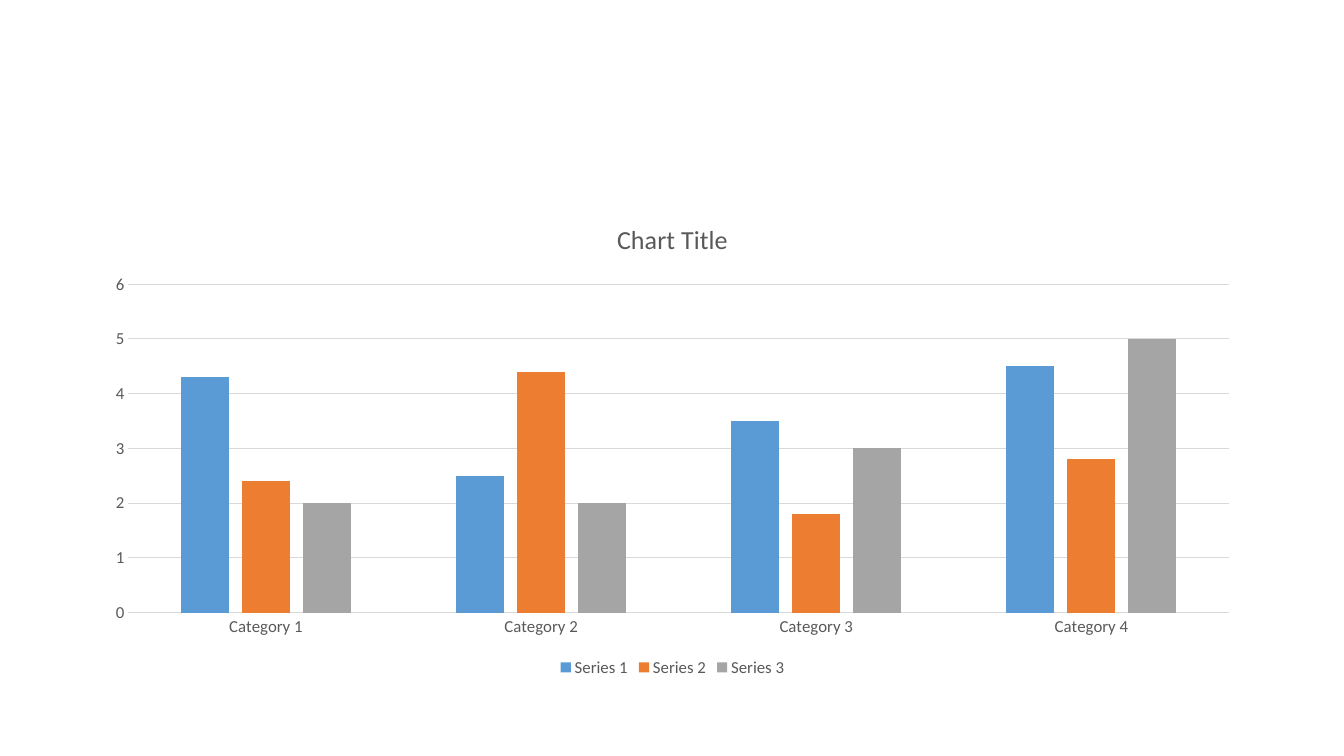
"""Build a slide with a clustered column chart of three series."""
from pptx import Presentation
from pptx import util as u
from pptx.chart.data import CategoryChartData
from pptx.dml.color import RGBColor
from pptx.enum import chart as c

BLUE = RGBColor(0x5B, 0x9B, 0xD5)
ORANGE = RGBColor(0xED, 0x7D, 0x31)
GRAY = RGBColor(0xA5, 0xA5, 0xA5)
TEXT_GRAY = RGBColor(0x59, 0x59, 0x59)
LINE_GRAY = RGBColor(0xD9, 0xD9, 0xD9)

CATEGORIES = [f"Category {number}" for number in range(1, 5)]
SERIES = [
    ("Series 1", (4.3, 2.5, 3.5, 4.5), BLUE),
    ("Series 2", (2.4, 4.4, 1.8, 2.8), ORANGE),
    ("Series 3", (2, 2, 3, 5), GRAY),
]


class SlideBuilder:
    def __init__(self, slide, font_name="Calibri"):
        self.slide = slide
        self.font_name = font_name

    def style_font(self, font, size):
        font.name = self.font_name
        font.size = u.Pt(size)
        font.bold = False
        font.color.rgb = TEXT_GRAY

    def style_line(self, line):
        line.color.rgb = LINE_GRAY
        line.width = u.Pt(0.75)

    def add_column_chart(self, left, top, width, height, title):
        data = CategoryChartData()
        data.categories = CATEGORIES
        for name, values, _ in SERIES:
            data.add_series(name, values)
        chart = self.slide.shapes.add_chart(
            c.XL_CHART_TYPE.COLUMN_CLUSTERED,
            u.Inches(left), u.Inches(top), u.Inches(width), u.Inches(height), data,
        ).chart
        self.style_font(chart.font, 12)
        self.add_chart_title(chart, title)
        self.format_axes(chart)
        self.add_legend(chart)

        plot = chart.plots[0]
        plot.vary_by_categories = False
        plot.gap_width = 219
        plot.overlap = -27
        for series, (_, _, color) in zip(plot.series, SERIES):
            series.format.fill.solid()
            series.format.fill.fore_color.rgb = color
            series.invert_if_negative = False

    def add_chart_title(self, chart, title):
        chart.has_title = True
        run = chart.chart_title.text_frame.paragraphs[0].add_run()
        run.text = title
        self.style_font(run.font, 18.6)
        chart.chart_title.include_in_layout = False

    def format_axes(self, chart):
        for axis in (chart.category_axis, chart.value_axis):
            axis.major_tick_mark = c.XL_TICK_MARK.NONE
            axis.minor_tick_mark = c.XL_TICK_MARK.NONE
            self.style_font(axis.tick_labels.font, 12)
        self.style_line(chart.category_axis.format.line)
        value_axis = chart.value_axis
        value_axis.minimum_scale = 0
        value_axis.maximum_scale = 6
        value_axis.major_unit = 1
        value_axis.format.line.fill.background()
        value_axis.has_major_gridlines = True
        self.style_line(value_axis.major_gridlines.format.line)

    def add_legend(self, chart):
        chart.has_legend = True
        chart.legend.position = c.XL_LEGEND_POSITION.BOTTOM
        chart.legend.include_in_layout = False
        self.style_font(chart.legend.font, 12)


presentation = Presentation()
presentation.slide_width = u.Inches(13.33)
presentation.slide_height = u.Inches(7.5)
blank_layout = presentation.slide_layouts[6]
builder = SlideBuilder(presentation.slides.add_slide(blank_layout))
builder.add_column_chart(0.92, 2, 11.5, 4.76, "Chart Title")
presentation.save("out.pptx")
